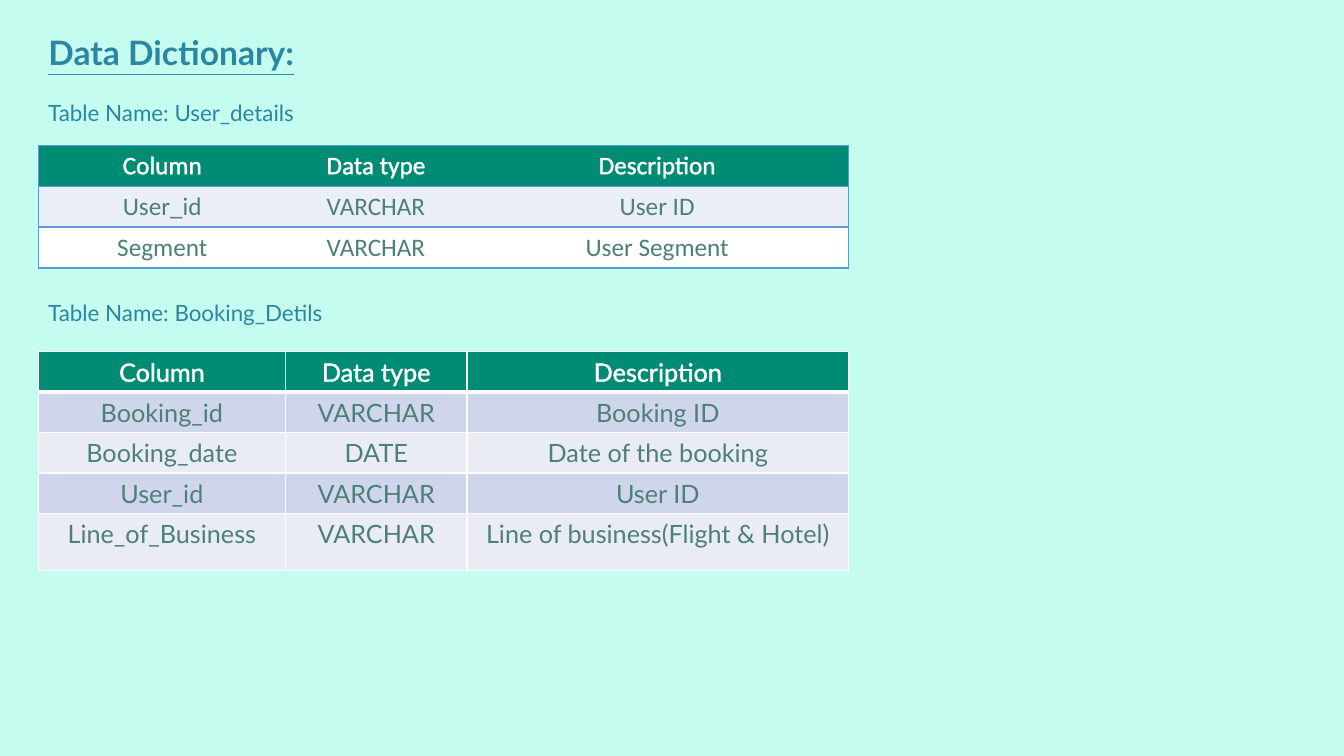
from lxml import etree
from pptx import Presentation
from pptx.dml.color import RGBColor
from pptx.enum.text import MSO_ANCHOR, MSO_AUTO_SIZE, PP_ALIGN
from pptx.oxml.ns import qn
from pptx.util import Inches, Pt

LEFT, CENTER = PP_ALIGN.LEFT, PP_ALIGN.CENTER
TOP = MSO_ANCHOR.TOP
NO_AUTOFIT = MSO_AUTO_SIZE.NONE
TITLE_ONLY = 5

WIDTH, HEIGHT = Inches(13.33), Inches(7.5)
MARGIN = 2.85  # percent of the slide width
HEADING_WIDTH = 33.3

COLORS = {
    "background": "C4FCEF",
    "heading": "2C86A2",
    "header": "008B74",
    "header_text": "FFFFFF",
    "body_text": "4D8076",
    "blue_line": "5B9BD5",
    "white": "FFFFFF",
    "pale_blue": "EAEFF7",
    "lavender": "CFD5EA",
    "pale_lavender": "E9EBF5",
}

HEADER = ("Column", "Data type", "Description")
USER_ROWS = [
    HEADER,
    ("User_id", "VARCHAR", "User ID"),
    ("Segment", "VARCHAR", "User Segment"),
]
BOOKING_ROWS = [
    HEADER,
    ("Booking_id", "VARCHAR", "Booking ID"),
    ("Booking_date", "DATE", "Date of the booking"),
    ("User_id", "VARCHAR", "User ID"),
    ("Line_of_Business", "VARCHAR", "Line of business(Flight & Hotel)"),
]


def across(percent):
    return round(WIDTH * percent / 100)


def down(percent):
    return round(HEIGHT * percent / 100)


def rgb(name):
    return RGBColor.from_string(COLORS[name])


def line_xml(parent, tag, color, points):
    """Append a line element; without a colour the line is invisible."""
    line = etree.SubElement(parent, qn(tag), w=str(Pt(points)))
    if color is None:
        etree.SubElement(line, qn("a:noFill"))
    else:
        fill = etree.SubElement(line, qn("a:solidFill"))
        etree.SubElement(fill, qn("a:srgbClr"), val=COLORS[color])


def add_run(paragraph, text, font, size, color, outline, bold=False):
    run = paragraph.add_run()
    run.text = text
    # The outline has to precede the fill inside the run properties.
    line_xml(run.font._element, "a:ln", outline, 0.75)
    run.font.name = font
    run.font.size = Pt(size)
    run.font.bold = bold
    run.font.color.rgb = rgb(color)
    return run


def write_heading(shape, text, top, height, size, bold=False):
    shape.left, shape.top = across(MARGIN), down(top)
    shape.width, shape.height = across(HEADING_WIDTH), down(height)
    frame = shape.text_frame
    frame.word_wrap = True
    frame.auto_size = NO_AUTOFIT
    frame.vertical_anchor = TOP
    paragraph = frame.paragraphs[0]
    paragraph.alignment = LEFT
    return add_run(paragraph, text, "Lato", size, "heading", "heading", bold)


def add_table_name(slide, text, top):
    label = slide.shapes.add_textbox(0, 0, 0, 0)
    write_heading(label, text, top, 4.93, 16)


def user_borders(row, column):
    """Blue frame and row lines, no lines between columns."""
    return {
        "L": ("blue_line" if column == 0 else None, 1),
        "R": ("blue_line" if column == len(HEADER) - 1 else None, 1),
        "T": ("blue_line", 1),
        "B": ("blue_line", 1),
    }


def booking_borders(row, column):
    """White grid with a heavier line below the header."""
    return {
        "L": ("white", 1),
        "R": ("white", 1),
        "T": ("white", 3 if row == 1 else 1),
        "B": ("white", 3 if row == 0 else 1),
    }


def add_dictionary(slide, rows, top, widths, heights, font, bands, borders):
    """Add a table; widths and heights are percentages of the slide."""
    table = slide.shapes.add_table(
        len(rows), len(widths), across(MARGIN), down(top),
        across(sum(widths)), down(sum(heights)),
    ).table
    for column, width in zip(table.columns, widths):
        column.width = across(width)
    for row, height in zip(table.rows, heights):
        row.height = down(height)
    for r, values in enumerate(rows):
        text_color, outline, fill = (
            ("header_text", "white", "header") if r == 0
            else ("body_text", "heading", bands[(r - 1) % len(bands)])
        )
        for c, value in enumerate(values):
            cell = table.cell(r, c)
            paragraph = cell.text_frame.paragraphs[0]
            paragraph.alignment = CENTER
            add_run(paragraph, value, font, 18, text_color, outline)
            properties = cell._tc.get_or_add_tcPr()
            for side, (color, points) in borders(r, c).items():
                line_xml(properties, f"a:ln{side}", color, points)
            cell.fill.solid()
            cell.fill.fore_color.rgb = rgb(fill)


def main():
    deck = Presentation()
    deck.slide_width, deck.slide_height = WIDTH, HEIGHT
    slide = deck.slides.add_slide(deck.slide_layouts[TITLE_ONLY])
    slide.background.fill.solid()
    slide.background.fill.fore_color.rgb = rgb("background")

    title = write_heading(
        slide.shapes.title, "Data Dictionary:", 3.6, 6.67, 24, bold=True)
    title.font.underline = True

    add_table_name(slide, "Table Name: User_details", 12.4)
    add_dictionary(
        slide, USER_ROWS, 19.2, (18.45, 13.35, 28.5), [5.42] * 3,
        "Calibri", ("pale_blue", "white"), user_borders)

    add_table_name(slide, "Table Name: Booking_Detils", 38.93)
    add_dictionary(
        slide, BOOKING_ROWS, 46.53, (18.4, 13.5, 28.4), [5.35] * 4 + [7.55],
        "Lato", ("lavender", "pale_lavender"), booking_borders)

    deck.save("out.pptx")


if __name__ == "__main__":
    main()
